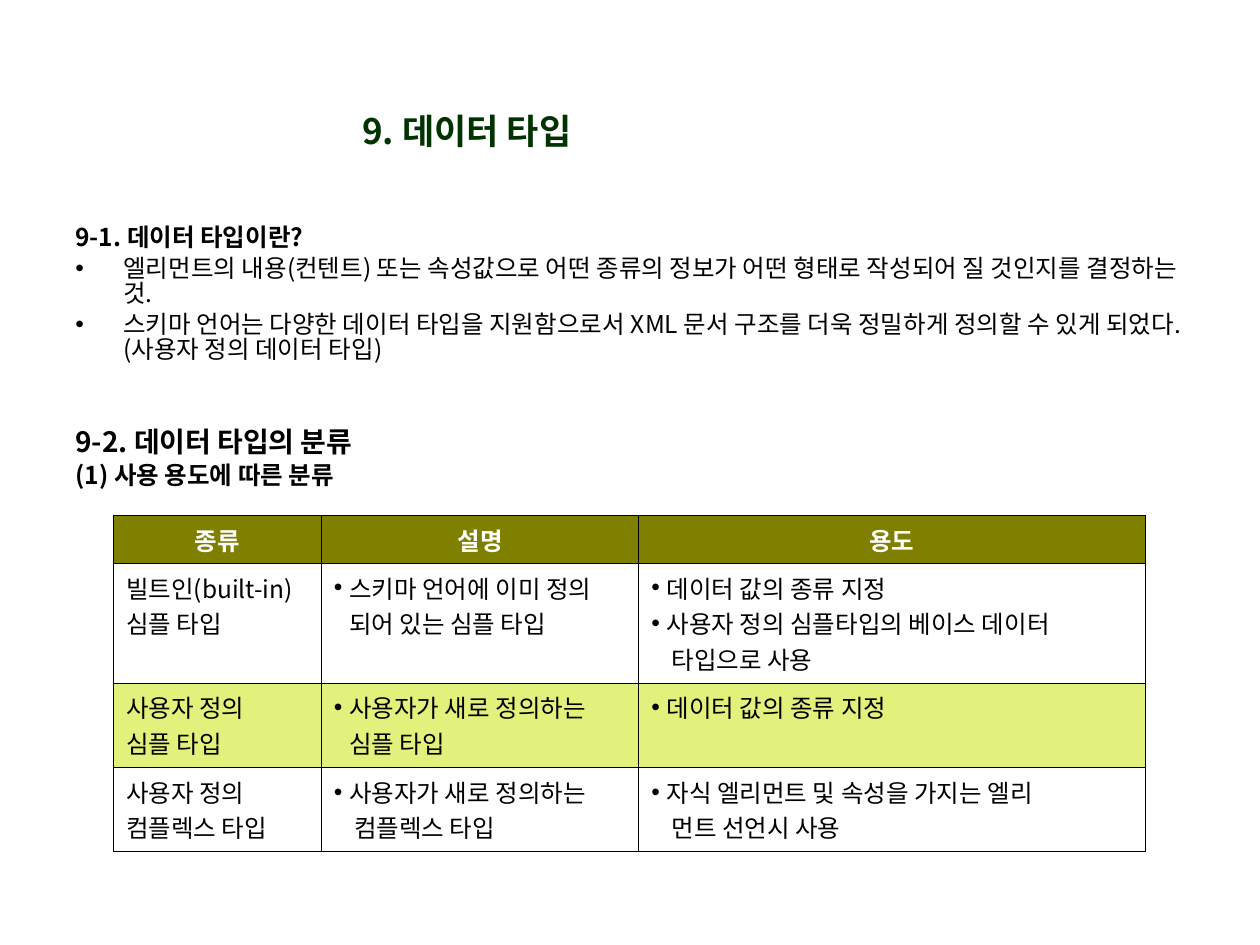
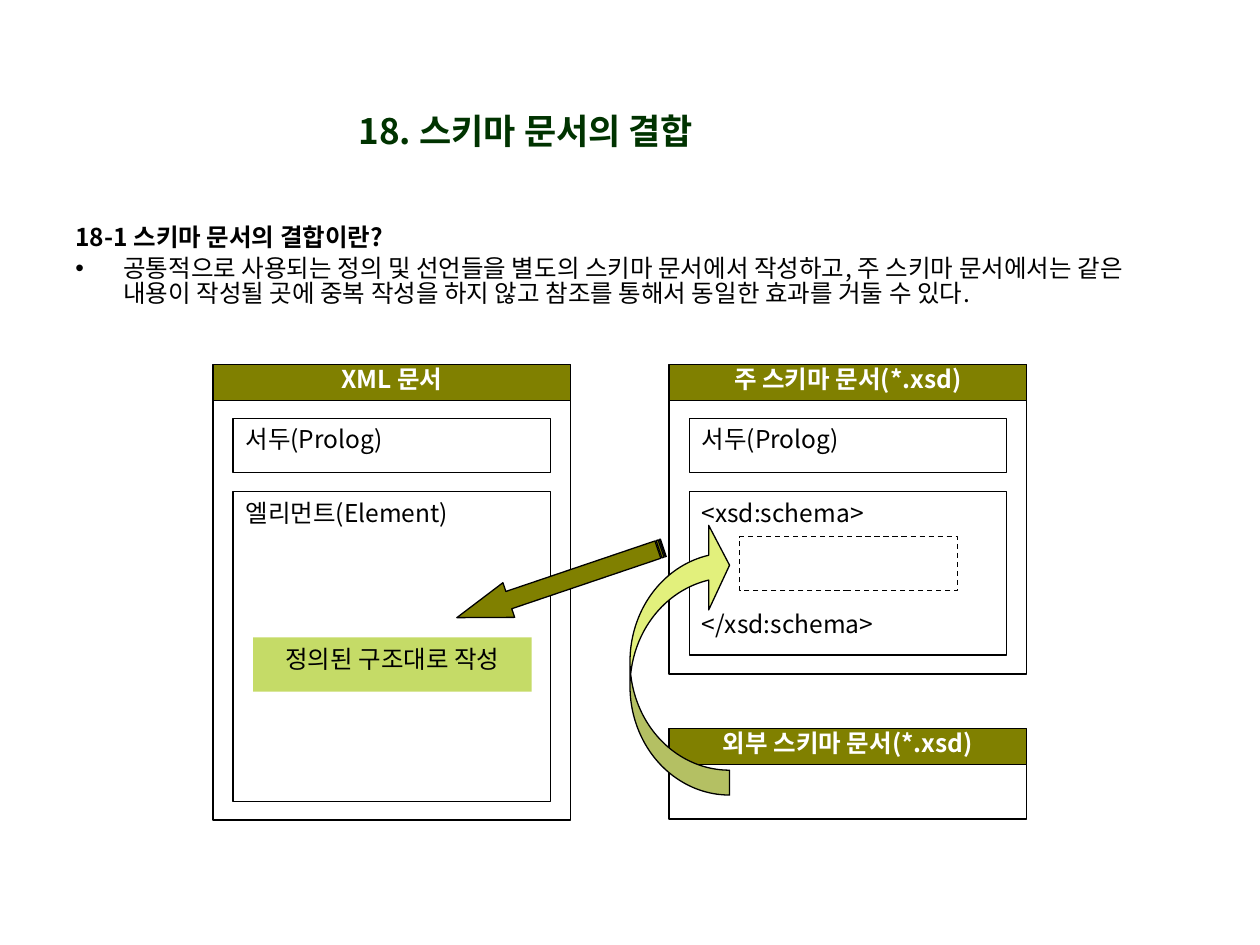
"""Build two slides about XML schema data types and combining schema documents."""
import lxml.etree
import pptx
import pptx.dml.color
import pptx.enum.dml
import pptx.enum.shapes
import pptx.enum.text
import pptx.oxml.ns
import pptx.util

Inches = pptx.util.Inches
Pt = pptx.util.Pt
qn = pptx.oxml.ns.qn
ALIGN = pptx.enum.text.PP_ALIGN
ANCHOR = pptx.enum.text.MSO_ANCHOR
SHAPE = pptx.enum.shapes.MSO_SHAPE
COLORS = {
    "title": "003300",
    "text": "000000",
    "paper": "FFFFFF",
    "olive": "808000",
    "lime": "E2F07C",
    "green": "C5DB67",
}


class SlideBuilder:
    font_name = "Noto Sans CJK KR"
    text_size = 14
    header_height = 0.29

    def __init__(self, deck):
        self.deck = deck
        self.page = None

    def color(self, name):
        return pptx.dml.color.RGBColor.from_string(COLORS[name])

    def start_page(self, title, left, width):
        self.page = self.deck.slides.add_slide(self.deck.slide_layouts[6])
        frame = self.text_frame(left, 0.76, width, 0.55)
        frame.vertical_anchor = ANCHOR.MIDDLE
        self.fill_para(frame.paragraphs[0], title, 20, "title", True, ALIGN.CENTER)

    def text_frame(self, left, top, width, height):
        box = self.page.shapes.add_textbox(*map(Inches, (left, top, width, height)))
        box.text_frame.word_wrap = True
        return box.text_frame

    def paragraph(self, frame, index):
        return frame.paragraphs[0] if index == 0 else frame.add_paragraph()

    def fill_para(self, para, text, size=text_size, color="text", bold=False, align=ALIGN.LEFT):
        para.text = text
        para.alignment = align
        para.font.name = self.font_name
        para.font.size = Pt(size)
        para.font.bold = bold
        para.font.color.rgb = self.color(color)
        defaults = para._p.get_or_add_pPr().find(qn("a:defRPr"))
        lxml.etree.SubElement(defaults, qn("a:ea")).set("typeface", self.font_name)

    def indent(self, para, margin, bullet=False):
        properties = para._p.get_or_add_pPr()
        properties.set("marL", str(Inches(margin)))
        if bullet:
            properties.set("indent", str(-Inches(margin)))
            lxml.etree.SubElement(properties, qn("a:buFont")).set("typeface", "Arial")
            lxml.etree.SubElement(properties, qn("a:buChar")).set("char", "•")

    def section(self, top, height, headings, bullets=()):
        frame = self.text_frame(0.5, top, 8.99, height)
        lines = [(text, size, True) for text, size in headings]
        lines += [(text, self.text_size, False) for text in bullets]
        for index, (text, size, is_heading) in enumerate(lines):
            para = self.paragraph(frame, index)
            para.line_spacing = 0.85
            if index:
                para.space_before = Pt(3.5)
            if not is_heading:
                self.indent(para, 0.38, bullet=True)
            self.fill_para(para, text, size, bold=is_heading)

    def cell(self, cell, lines, fill, header):
        cell.fill.solid()
        cell.fill.fore_color.rgb = self.color(fill)
        for index, (text, margin, bullet) in enumerate(lines):
            para = self.paragraph(cell.text_frame, index)
            if margin:
                self.indent(para, margin, bullet)
            if header:
                self.fill_para(para, text, color="paper", bold=True, align=ALIGN.CENTER)
            else:
                self.fill_para(para, text)
        properties = cell._tc.get_or_add_tcPr()
        for index, side in enumerate(("a:lnL", "a:lnR", "a:lnT", "a:lnB")):
            border = lxml.etree.Element(qn(side), w=str(Pt(0.45)))
            solid = lxml.etree.SubElement(border, qn("a:solidFill"))
            lxml.etree.SubElement(solid, qn("a:srgbClr")).set("val", COLORS["text"])
            properties.insert(index, border)

    def table(self, left, top, widths, heights, rows, fills):
        size = map(Inches, (left, top, sum(widths), sum(heights)))
        table = self.page.shapes.add_table(len(heights), len(widths), *size).table
        for column, width in zip(table.columns, widths):
            column.width = Inches(width)
        for number, (height, cells, fill) in enumerate(zip(heights, rows, fills)):
            table.rows[number].height = Inches(height)
            for column, lines in enumerate(cells):
                self.cell(table.cell(number, column), lines, fill, number == 0)

    def shape(self, kind, left, top, width, height, fill="paper", outlined=True):
        shape = self.page.shapes.add_shape(kind, *map(Inches, (left, top, width, height)))
        shape.shadow.inherit = False
        shape.fill.solid()
        shape.fill.fore_color.rgb = self.color(fill)
        if outlined:
            shape.line.color.rgb = self.color("text")
            shape.line.width = Pt(0.75)
        else:
            shape.line.fill.background()
        return shape

    def box(self, left, top, width, height, lines=(), gap=0, align=ALIGN.LEFT, **look):
        box = self.shape(SHAPE.RECTANGLE, left, top, width, height, **look)
        box.text_frame.vertical_anchor = ANCHOR.TOP
        for index, text in enumerate(lines):
            para = self.paragraph(box.text_frame, index)
            if index:
                para.space_before = Pt(gap)
            self.fill_para(para, text, align=align)
        return box

    def panel(self, left, top, height, title):
        width = 2.84
        self.box(left, top + self.header_height, width, height)
        header = self.box(left, top, width, self.header_height, fill="olive")
        frame = header.text_frame
        frame.margin_top = frame.margin_bottom = 0
        self.fill_para(frame.paragraphs[0], title, color="paper", bold=True, align=ALIGN.CENTER)

    def arrow(self, kind, left, top, width, height, fill, rotation, adjustments):
        arrow = self.shape(kind, left, top, width, height, fill)
        arrow.rotation = rotation
        for index, value in enumerate(adjustments):
            arrow.adjustments[index] = value


def plain(*texts):
    return [(text, 0, False) for text in texts]


def bullet(text, rest=None, margin=0.12):
    lines = [(text, 0.12, True)]
    return lines + [(rest, margin, False)] if rest else lines


def data_types(builder):
    builder.start_page("9. 데이터 타입", 0.83, 5.75)
    builder.section(1.75, 1.37, [("9-1. 데이터 타입이란?", 14)], [
        "엘리먼트의 내용(컨텐트) 또는 속성값으로 어떤 종류의 정보가 어떤 형태로 작성되어 질 것인지를 결정하는 것.",
        "스키마 언어는 다양한 데이터 타입을 지원함으로서 XML 문서 구조를 더욱 정밀하게 정의할 수 있게 되었다. (사용자 정의 데이터 타입)",
    ])
    builder.section(3.36, 0.66, [("9-2. 데이터 타입의 분류", 16), ("(1) 사용 용도에 따른 분류", 14)])
    rows = [
        [plain("종류"), plain("설명"), plain("용도")],
        [plain("빌트인(built-in)", "심플 타입"),
         bullet("스키마 언어에 이미 정의", "되어 있는 심플 타입"),
         bullet("데이터 값의 종류 지정")
         + bullet("사용자 정의 심플타입의 베이스 데이터", "타입으로 사용", 0.16)],
        [plain("사용자 정의", "심플 타입"),
         bullet("사용자가 새로 정의하는", "심플 타입"),
         bullet("데이터 값의 종류 지정")],
        [plain("사용자 정의", "컴플렉스 타입"),
         bullet("사용자가 새로 정의하는", "컴플렉스 타입", 0.16),
         bullet("자식 엘리먼트 및 속성을 가지는 엘리", "먼트 선언시 사용", 0.16)],
    ]
    builder.table(0.9, 4.09, [1.65, 2.52, 4.02], [0.38, 0.95, 0.67, 0.67], rows,
                  ["olive", "paper", "lime", "paper"])


def schema_combination(builder):
    builder.start_page("18. 스키마 문서의 결합", 2.01, 4.33)
    builder.section(1.75, 0.9, [("18-1 스키마 문서의 결합이란?", 14)], [
        "공통적으로 사용되는 정의 및 선언들을 별도의 스키마 문서에서 작성하고, 주 스키마 문서에서는 같은 내용이 작성될 곳에 중복 작성을 하지 않고 참조를 통해서 동일한 효과를 거둘 수 있다.",
    ])
    documents = [
        (1.69, 3.33, "XML 문서", 2.46, ["엘리먼트(Element)"]),
        (5.31, 2.17, "주 스키마 문서(*.xsd)", 1.3, ["<xsd:schema>", "</xsd:schema>"]),
    ]
    for left, height, title, content_height, content in documents:
        builder.panel(left, 2.89, height, title)
        builder.box(left + 0.16, 3.32, 2.52, 0.43, ["서두(Prolog)"])
        builder.box(left + 0.16, 3.9, 2.52, content_height, content, gap=46.6)
    builder.panel(5.31, 5.78, 0.43, "외부 스키마 문서(*.xsd)")
    builder.arrow(SHAPE.CURVED_LEFT_ARROW, 5, 4.15, 0.79, 2.16, "lime", 180, [0.25, 0.85, 0.21])
    included = builder.box(5.87, 4.26, 1.73, 0.43)
    included.line.dash_style = pptx.enum.dml.MSO_LINE.DASH
    builder.arrow(SHAPE.STRIPED_RIGHT_ARROW, 3.58, 4.48, 1.73, 0.29, "olive", 161.3, [0.5, 1.5])
    builder.box(2.01, 5.06, 2.21, 0.43, ["정의된 구조대로 작성"], align=ALIGN.CENTER,
                fill="green", outlined=False)


def main():
    deck = pptx.Presentation()
    deck.slide_width = Inches(10)
    deck.slide_height = Inches(7.5)
    builder = SlideBuilder(deck)
    data_types(builder)
    schema_combination(builder)
    deck.save("out.pptx")


if __name__ == "__main__":
    main()
